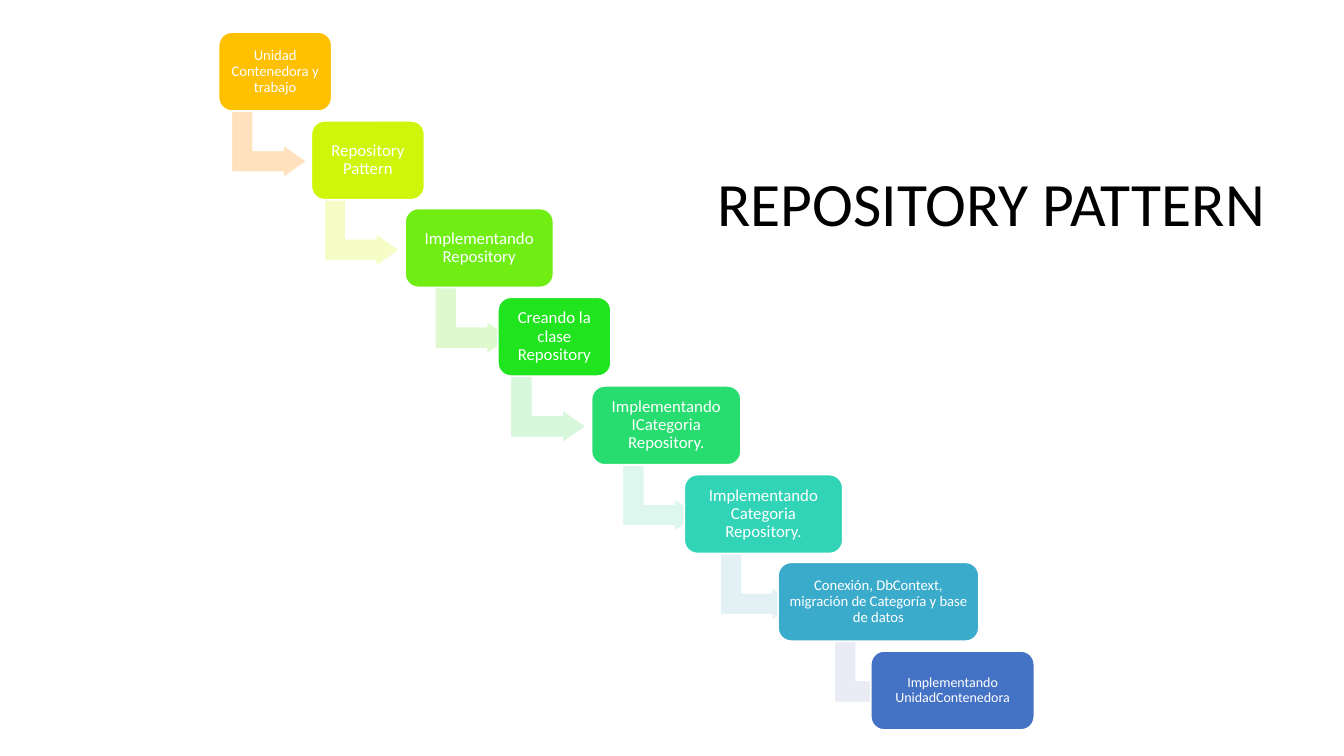
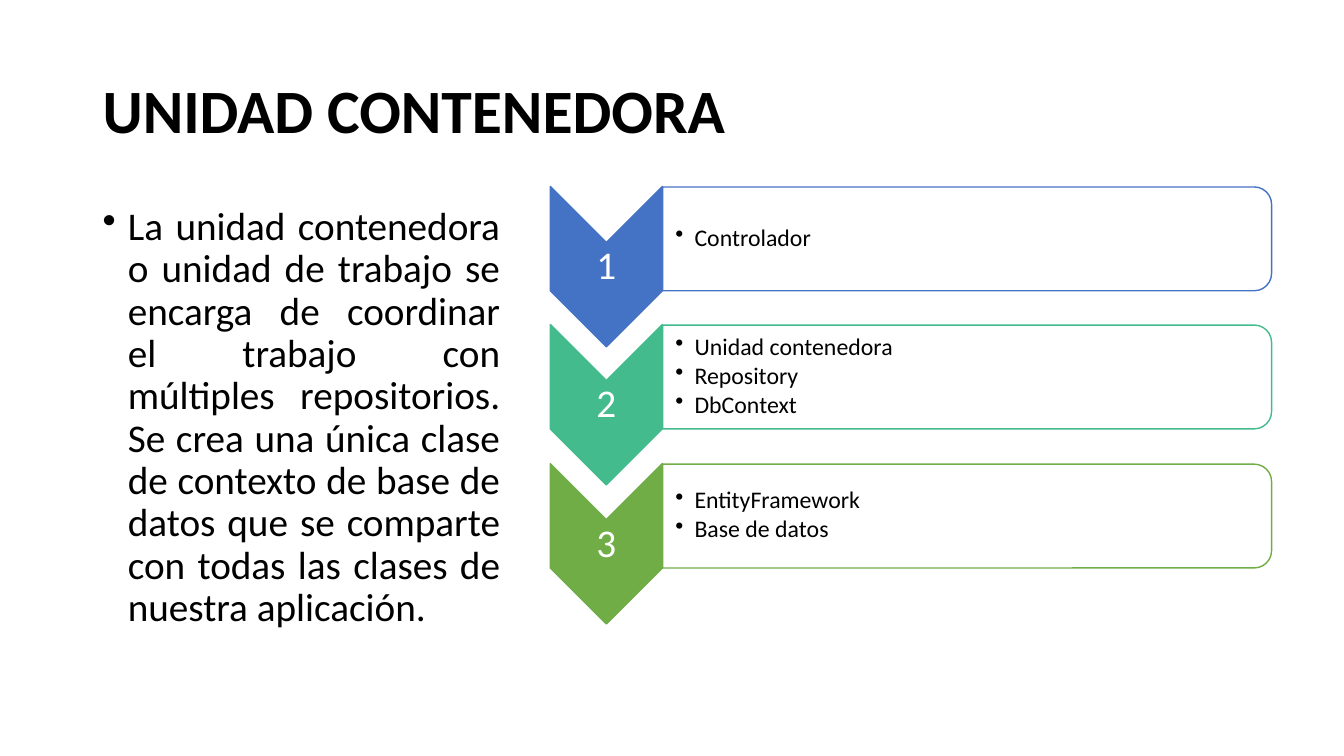
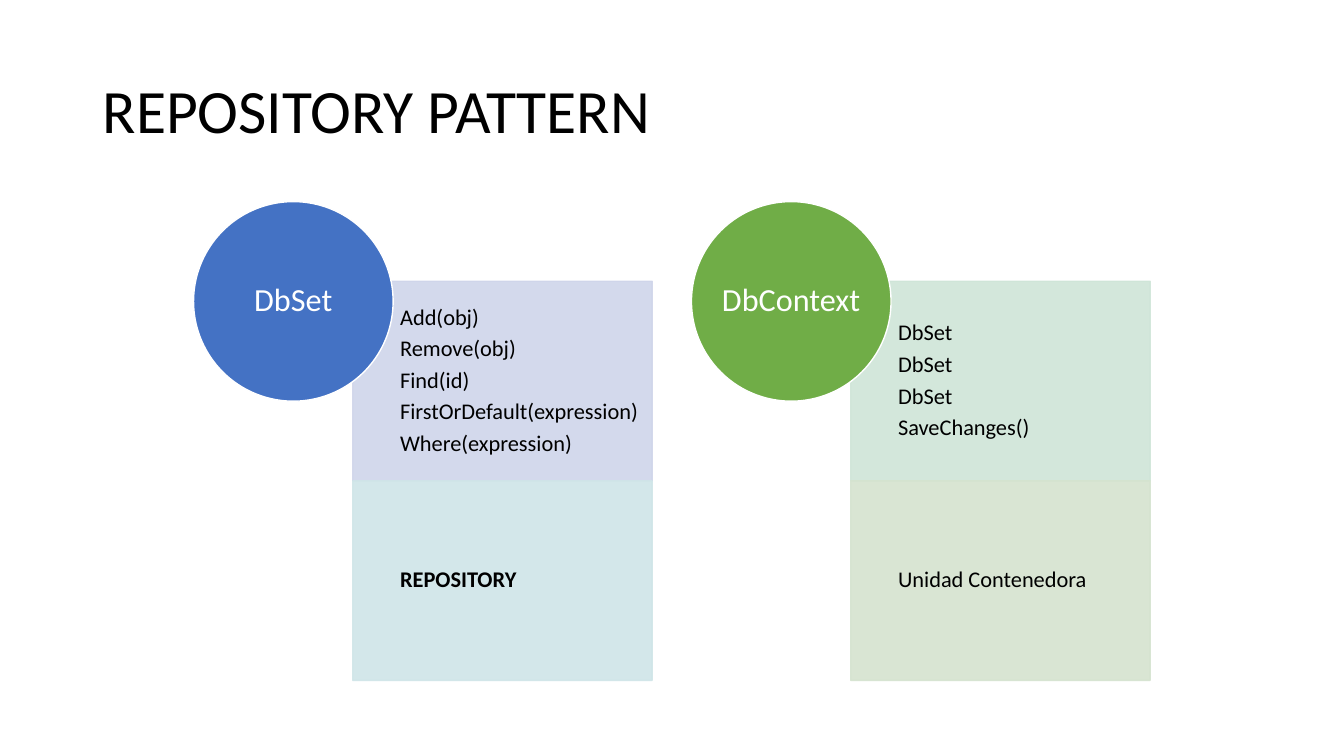
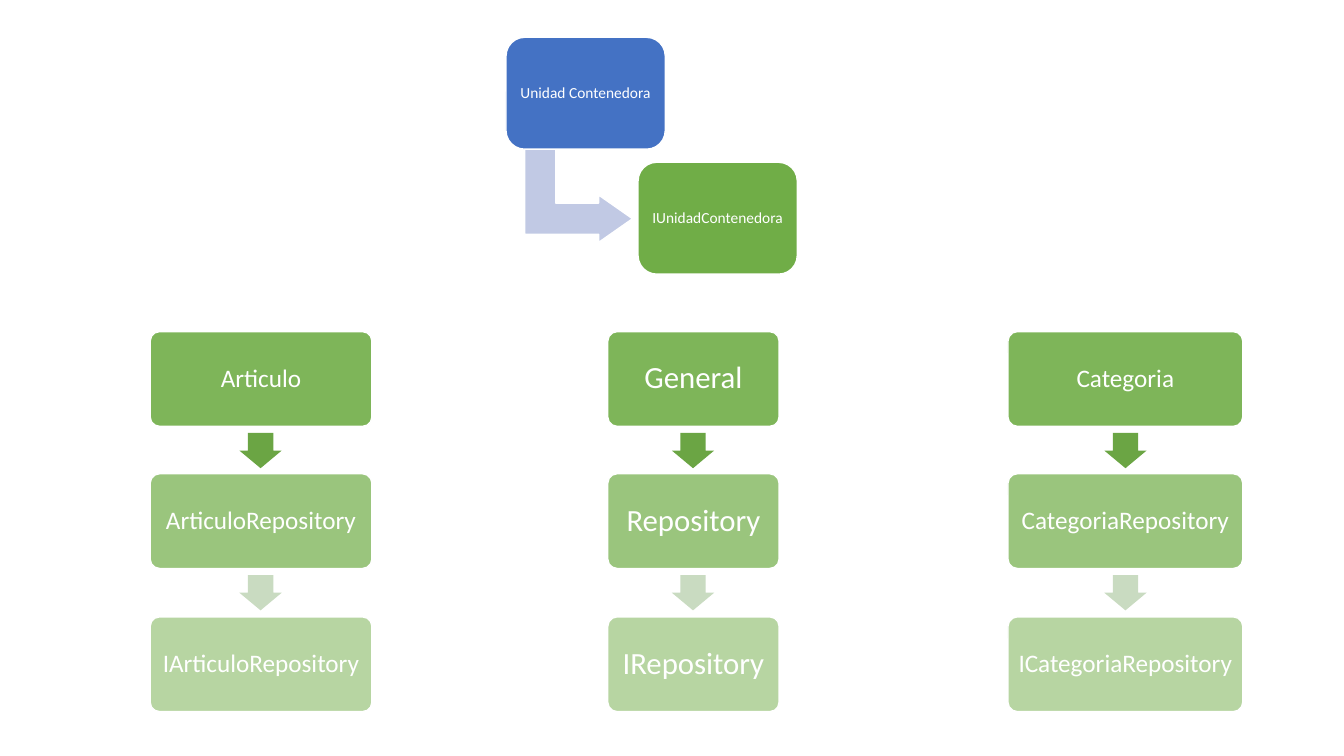
from pptx import Presentation
from pptx import util as u
from pptx.dml.color import RGBColor
from pptx.enum import shapes, text
from pptx.oxml.ns import qn
from lxml import etree

PX = 9144  # 100 px to the inch
FONT = "Calibri"
BLACK = RGBColor(0x00, 0x00, 0x00)
WHITE = RGBColor(0xFF, 0xFF, 0xFF)
BLUE = RGBColor(0x44, 0x72, 0xC4)
GREEN = RGBColor(0x70, 0xAD, 0x47)
TEAL = RGBColor(0x43, 0xBB, 0x8D)
LILAC = RGBColor(0xCF, 0xD5, 0xEA)
AQUA = RGBColor(0xCF, 0xE5, 0xE8)
MINT = RGBColor(0xCF, 0xE5, 0xD8)
SAGE = RGBColor(0xD5, 0xE3, 0xCF)
HAZE = RGBColor(0xC1, 0xC9, 0xE4)
LEAF = RGBColor(0x6B, 0xA5, 0x44)
MIST = RGBColor(0xC9, 0xDB, 0xC1)
STEPS = [RGBColor.from_string(c) for c in (
    "FFC000", "CFF60A", "70EE14", "20E51E", "27DD70", "31D4B6", "3BABCC", "4472C4")]
BENDS = [RGBColor.from_string(c) for c in (
    "FFE2BD", "F6FCC6", "DEF9CE", "D6F7DB", "DDF6EE", "E3F1F5", "E9ECF5")]

KIND = shapes.MSO_SHAPE
LEFT, MID, JUST = text.PP_ALIGN.LEFT, text.PP_ALIGN.CENTER, text.PP_ALIGN.JUSTIFY
BEND = (0.328, 0.25, 0.358)
TITLE = (92, 40, 1150, 145)


def put(slide, kind, box, fill, edge=WHITE, turn=0, adj=(), alpha=100):
    """Add a preset shape; box is left, top, width, height in px."""
    shape = slide.shapes.add_shape(kind, *[round(n) * PX for n in box])
    shape.shadow.inherit = False
    shape.rotation = turn
    for i, n in enumerate(adj):
        shape.adjustments[i] = n
    shape.fill.solid()
    shape.fill.fore_color.rgb = fill
    if edge is None:
        shape.line.fill.background()
    else:
        shape.line.color.rgb = edge
        shape.line.width = u.Pt(1)
    if alpha < 100:
        for tint in shape.element.spPr.iter(qn("a:srgbClr")):
            if tint.get("val") == str(fill):
                etree.SubElement(tint, qn("a:alpha"), val=str(alpha * 1000))
    return shape


def write(slide, spot, lines, size, color=WHITE, align=MID, pad=(5, 5, 5, 5),
          bold=False, after=0, hang=0, anchor=text.MSO_ANCHOR.MIDDLE):
    """Write paragraphs into a shape, or into a new text box if spot is a box."""
    if isinstance(spot, tuple):
        spot = slide.shapes.add_textbox(*[n * PX for n in spot])
    frame = spot.text_frame
    frame.word_wrap = True
    frame.vertical_anchor = anchor
    for side, n in zip(("left", "top", "right", "bottom"), pad):
        setattr(frame, "margin_" + side, n * PX)
    frame.text = "\n".join(lines)
    for para in frame.paragraphs:
        look = dict(alignment=align, line_spacing=0.9, space_after=u.Pt(after))
        for key, val in look.items():
            setattr(para, key, val)
        for key, val in dict(name=FONT, size=u.Pt(size), bold=bold).items():
            setattr(para.font, key, val)
        para.font.color.rgb = color
        for run in para.runs:
            for key, val in dict(name=FONT, size=u.Pt(size), bold=bold).items():
                setattr(run.font, key, val)
            run.font.color.rgb = color
        if hang:
            prop = para._p.get_or_add_pPr()
            prop.set("marL", str(hang * PX))
            prop.set("indent", str(-hang * PX))
            dot = etree.Element(qn("a:buChar"), char="•")
            rest = prop.find(qn("a:defRPr"))
            if rest is None:
                prop.append(dot)
            else:
                rest.addprevious(dot)


deck = Presentation()
deck.slide_width, deck.slide_height = u.Emu(12192000), 750 * PX
one, two, three, four = [deck.slides.add_slide(deck.slide_layouts[6]) for _ in range(4)]

# Titles
for slide, box, words, bold in (
        (one, (702, 132, 581, 145), "REPOSITORY PATTERN", False),
        (two, TITLE, "UNIDAD CONTENEDORA", True),
        (three, TITLE, "REPOSITORY PATTERN", False)):
    write(slide, box, [words], 44, BLACK, LEFT, (10, 5, 10, 5), bold)

# Slide 1: staircase of topics
stairs = [
    ("Unidad Contenedora y trabajo", 112, 10.5),
    ("Repository Pattern", 112, 12),
    ("Implementando Repository", 147, 12),
    ("Creando la clase Repository", 112, 12),
    ("Implementando ICategoria Repository.", 148, 12),
    ("Implementando Categoria Repository.", 157, 12),
    ("Conexión, DbContext, migración de Categoría y base de datos", 199, 10.5),
    ("Implementando UnidadContenedora", 162, 10),
]
for i, (words, wide, size) in enumerate(stairs):
    x, y = 217 + 647 * i / 7, 32 + 614 * i / 7
    if i < len(BENDS):
        put(one, KIND.BENT_UP_ARROW, (x + wide / 2 - 39, y + 74, 66, 75),
            BENDS[i], turn=90, adj=BEND)
    step = put(one, KIND.ROUNDED_RECTANGLE, (x, y, wide, 78), STEPS[i], adj=[0.167])
    write(one, step, [words], size)

# Slide 2: definition and three layers
write(two, (92, 200, 414, 476), [
    "La unidad contenedora o unidad de trabajo se encarga de coordinar el trabajo con "
    "múltiples repositorios. Se crea una única clase de contexto de base de datos que "
    "se comparte con todas las clases de nuestra aplicación."],
    28, BLACK, JUST, (10, 5, 10, 5), hang=25, anchor=text.MSO_ANCHOR.TOP)
layers = [
    (209, BLUE, ["Controlador"]),
    (346, TEAL, ["Unidad contenedora", "Repository", "DbContext"]),
    (484, GREEN, ["EntityFramework", "Base de datos"]),
]
for i, (y, tint, items) in enumerate(layers, 1):
    put(two, KIND.CHEVRON, (522, y, 159, 111), tint, tint, 90)
    write(two, (546, y + 32, 111, 48), [str(i)], 28, pad=(2, 2, 2, 2))
    put(two, KIND.ROUND_2_SAME_RECTANGLE, (908, y - 274, 103, 604), WHITE, tint, 90, alpha=90)
    write(two, (657, y - 19, 599, 93), items, 17, BLACK, LEFT, (13, 1, 1, 1),
          after=2.3, hang=19)

# Slide 3: two circles, each with two panels
groups = [
    (192, "DbSet", BLUE, [
        (LILAC, ["Add(obj)", "Remove(obj)", "Find(id)", "FirstOrDefault(expression)",
                 "Where(expression)"], False),
        (AQUA, ["REPOSITORY"], True)]),
    (686, "DbContext", GREEN, [
        (MINT, ["DbSet", "DbSet", "DbSet", "SaveChanges()"], False),
        (SAGE, ["Unidad Contenedora"], False)]),
]
for x, name, tint, panels in groups:
    for i, (fill, items, bold) in enumerate(panels):
        panel = put(three, KIND.RECTANGLE, (x + 158, 279 + 198 * i, 297, 198),
                    fill, fill, alpha=90)
        write(three, panel, items, 16, BLACK, LEFT, (47, 12, 12, 12), bold, 5.3)
    disc = put(three, KIND.OVAL, (x, 200, 198, 198), tint)
    write(three, disc, [name], 23, pad=(0, 0, 0, 0))

# Slide 4: three chains of classes under the unit of work
chains = [
    (220, 18, 7, ["Articulo", "ArticuloRepository", "IArticuloRepository"]),
    (170, 22, 9, ["General", "Repository", "IRepository"]),
    (233, 18, 7, ["Categoria", "CategoriaRepository", "ICategoriaRepository"]),
]
rows = [(329, 90, LEAF), (470, 70, MIST), (612, 50, None)]
for i, (wide, size, pad, names) in enumerate(chains):
    mid = 259 + 429 * i
    for name, (y, alpha, tint) in zip(names, rows):
        card = put(four, KIND.ROUNDED_RECTANGLE, (mid - wide / 2, y, wide, 94),
                   GREEN, adj=[0.1], alpha=alpha)
        write(four, card, [name], size, pad=[pad] * 4)
        if tint:
            put(four, KIND.RIGHT_ARROW, (mid - 18, y + 97, 35, 42), tint, None, 90, (0.6, 0.5))

put(four, KIND.BENT_UP_ARROW, (527, 140, 94, 107), HAZE, turn=90, adj=BEND)
for x, y, tint, name in ((502, 37, BLUE, "Unidad Contenedora"),
                         (633, 161, GREEN, "IUnidadContenedora")):
    card = put(four, KIND.ROUNDED_RECTANGLE, (x, y, 158, 111), tint, adj=[0.167])
    write(four, card, [name], 11)

deck.save("out.pptx")
